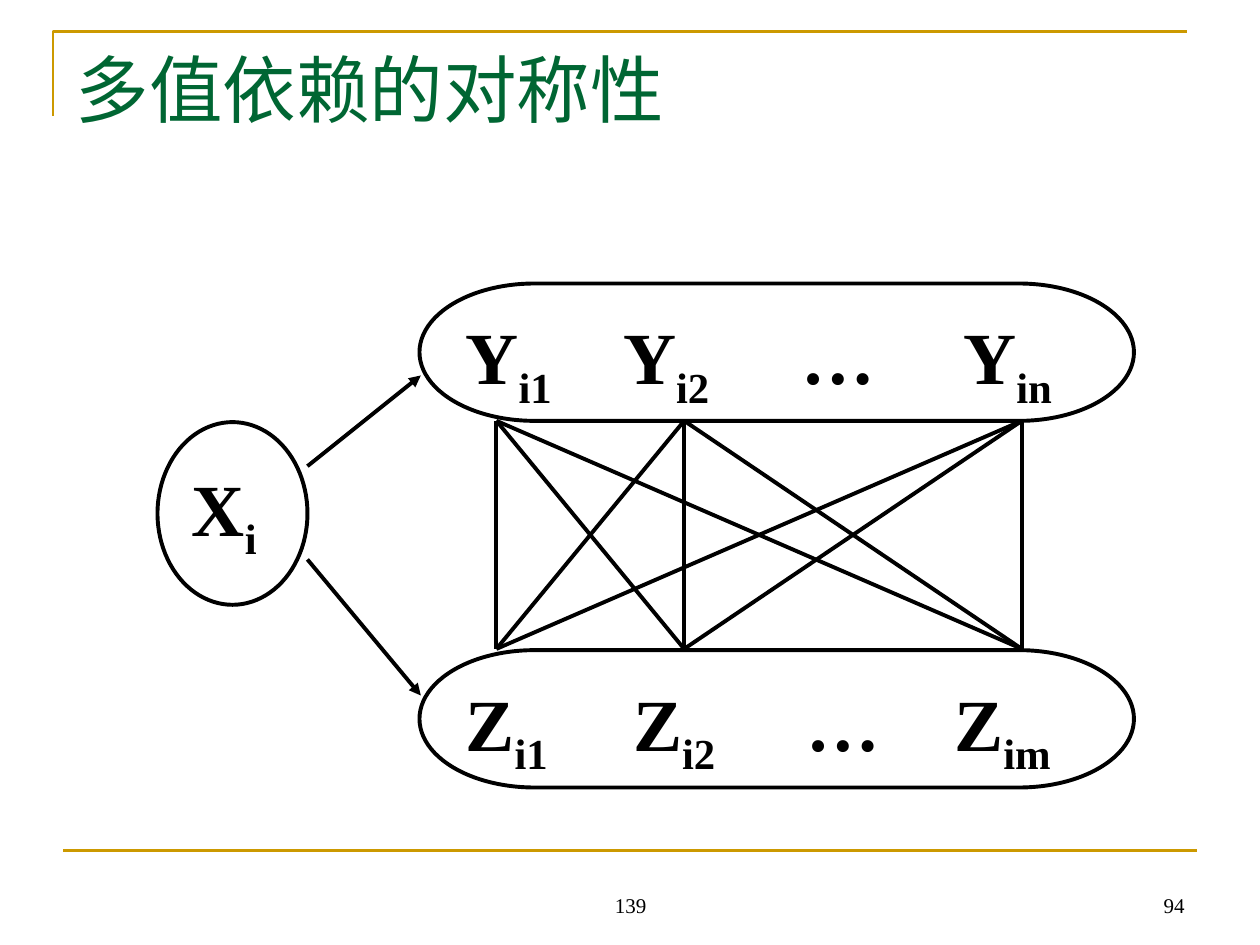
from dataclasses import dataclass
from itertools import product

from lxml.etree import SubElement as Sub
from pptx import Presentation
from pptx.dml.color import RGBColor as Color
from pptx.enum.shapes import MSO_CONNECTOR as Link, MSO_SHAPE as Shape
from pptx.enum.text import MSO_ANCHOR as Anchor, MSO_AUTO_SIZE as Auto, PP_ALIGN as Align
from pptx.oxml.ns import qn
from pptx.util import Inches, Pt


@dataclass(frozen=True)
class Theme:
    ink: str = "000000"
    paper: str = "FFFFFF"
    green: str = "006633"
    gold: str = "CC9900"
    font: str = "Times New Roman"
    large: int = 42
    small: int = 12
    thin: float = 1.5
    thick: float = 2.25


class Board:
    def __init__(self, slide, theme):
        self.slide = slide
        self.theme = theme

    def stroke(self, item, color, width):
        item.line.color.rgb = Color.from_string(color)
        item.line.width = Pt(width)

    def add_text(self, para, text, size, color, bold=False, lower=False):
        run = para.add_run()
        run.text = text
        font = run.font
        font.name = self.theme.font
        font.size = Pt(size)
        font.bold = bold
        font.color.rgb = Color.from_string(color)
        if lower:
            font._element.set("baseline", "-25000")

    def title(self, text, box):
        item = self.slide.shapes.title
        item.left, item.top, item.width, item.height = map(Inches, box)
        frame = item.text_frame
        frame.auto_size = Auto.NONE
        frame.vertical_anchor = Anchor.TOP
        para = frame.paragraphs[0]
        para.alignment = Align.LEFT
        self.add_text(para, text, self.theme.large, self.theme.green)

    def note(self, text, box, align):
        frame = self.slide.shapes.add_textbox(*map(Inches, box)).text_frame
        frame.word_wrap = True
        frame.vertical_anchor = Anchor.BOTTOM
        para = frame.paragraphs[0]
        para.alignment = align
        self.add_text(para, text, self.theme.small, self.theme.ink)

    def node(self, kind, box, terms, inset, stops=()):
        item = self.slide.shapes.add_shape(kind, *map(Inches, box))
        item.shadow.inherit = False
        item.fill.solid()
        item.fill.fore_color.rgb = Color.from_string(self.theme.paper)
        self.stroke(item, self.theme.ink, self.theme.thick)
        frame = item.text_frame
        frame.word_wrap = True
        frame.vertical_anchor = Anchor.TOP
        frame.margin_top = Inches(inset)
        para = frame.paragraphs[0]
        para.alignment = Align.JUSTIFY
        if stops:
            tabs = Sub(para._p.get_or_add_pPr(), qn("a:tabLst"))
            for stop in stops:
                Sub(tabs, qn("a:tab"), pos=str(Inches(stop)), algn="l")
        for rank, (base, index) in enumerate(terms):
            lead = "\t" if rank else ""
            self.add_text(para, lead + base, self.theme.large, self.theme.ink, True)
            if index:
                self.add_text(para, index, self.theme.large, self.theme.ink, True, True)

    def line(self, start, end, color, width, arrow=False):
        ends = map(Inches, (*start, *end))
        item = self.slide.shapes.add_connector(Link.STRAIGHT, *ends)
        self.stroke(item, color, width)
        if arrow:
            Sub(item.line._get_or_add_ln(), qn("a:tailEnd"), type="triangle")
        Sub(item._element.spPr, qn("a:effectLst"))

    def corner(self, points):
        first, *rest = [tuple(map(Inches, point)) for point in points]
        pen = self.slide.shapes.build_freeform(*first)
        pen.add_line_segments(rest, close=False)
        item = pen.convert_to_shape()
        item.shadow.inherit = False
        item.fill.background()
        self.stroke(item, self.theme.gold, self.theme.thin)


def main():
    deck = Presentation()
    deck.slide_width, deck.slide_height = Inches(10), Inches(7.5)
    theme = Theme()
    board = Board(deck.slides.add_slide(deck.slide_layouts[5]), theme)

    board.corner([(0.42, 0.92), (0.42, 0.25), (9.42, 0.25)])
    board.line((0.5, 6.75), (9.5, 6.75), theme.gold, theme.thin)
    board.title("多值依赖的对称性", (0.5, 0.3, 9, 1.25))

    board.node(Shape.OVAL, (1.25, 3.35, 1.19, 1.45), [("X", "i")], 0.11)
    rows = [
        ("Y", "n", 2.25, (1.25, 2.67, 3.95)),
        ("Z", "m", 5.16, (1.33, 2.71, 3.88)),
    ]
    for base, last, top, stops in rows:
        terms = [(base, "i1"), (base, "i2"), ("…", ""), (base, "i" + last)]
        box = (3.33, top, 5.67, 1.09)
        board.node(Shape.FLOWCHART_TERMINATOR, box, terms, 0.06, stops)

    for start, end in [(3.7, 2.98), (4.44, 5.52)]:
        board.line((2.44, start), (3.34, end), theme.ink, theme.thick, True)
    for upper, lower in product((3.94, 5.43, 8.11), repeat=2):
        board.line((upper, 3.34), (lower, 5.15), theme.ink, theme.thick)

    board.note("94", (7.17, 6.83, 2.33, 0.5), Align.RIGHT)
    board.note("139", (3.42, 6.83, 3.17, 0.5), Align.CENTER)
    deck.save("out.pptx")


if __name__ == "__main__":
    main()
